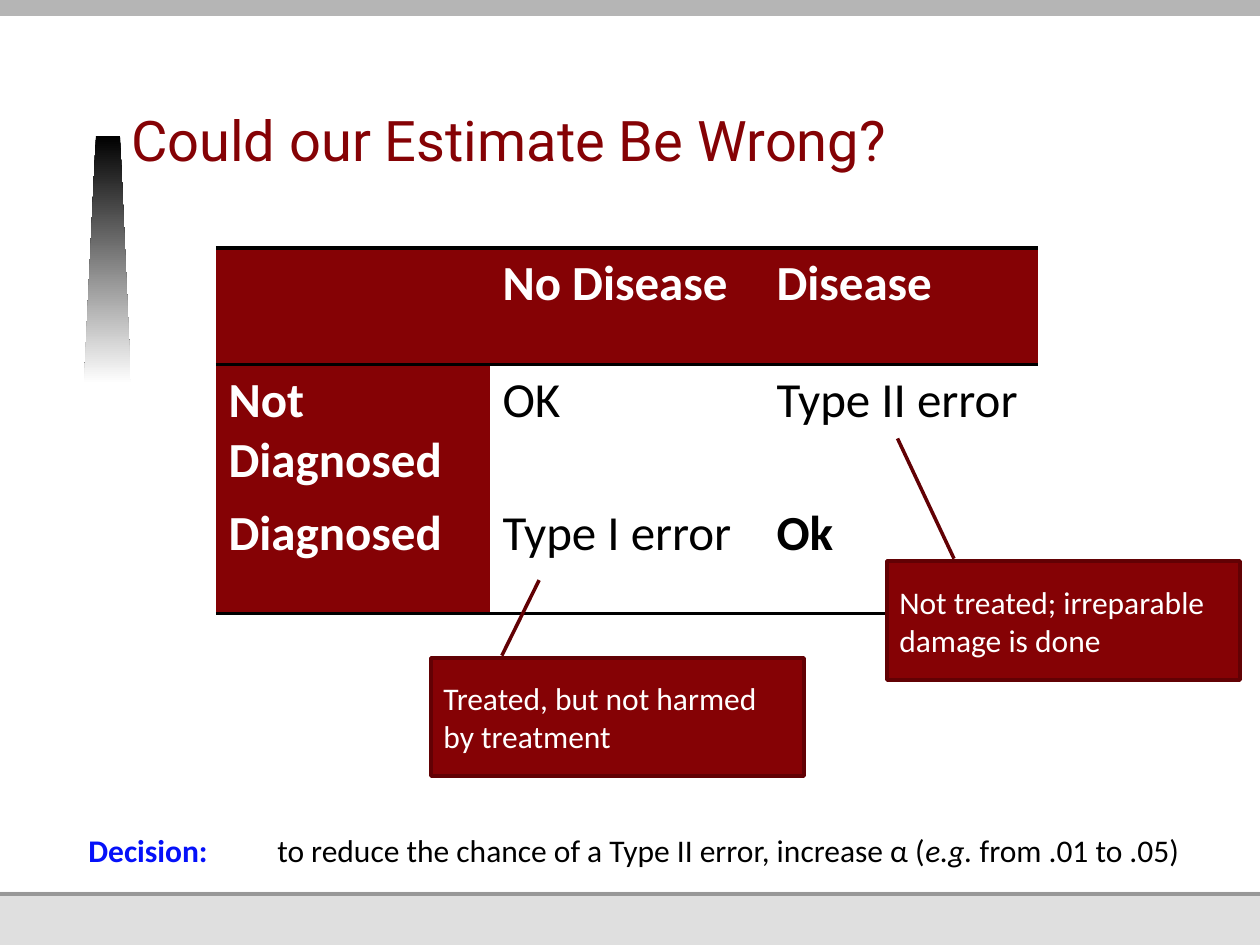
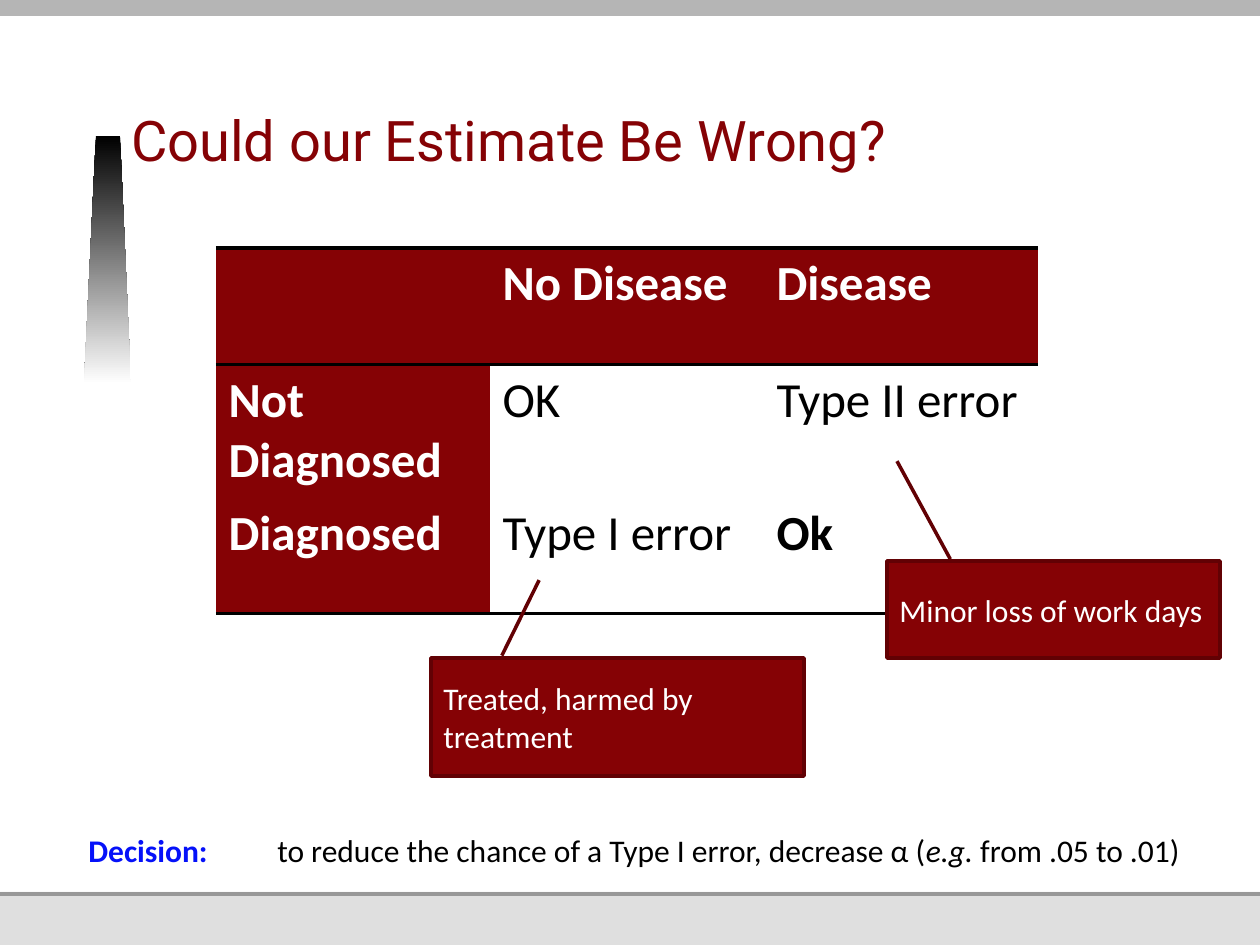
import dataclasses

import lxml.etree
import pptx
import pptx.dml.color
import pptx.enum.shapes
import pptx.enum.text
import pptx.oxml.ns
import pptx.util

ALIGN = pptx.enum.text.PP_ALIGN
ANCHOR = pptx.enum.text.MSO_ANCHOR
SHAPE = pptx.enum.shapes.MSO_SHAPE
qn = pptx.oxml.ns.qn


@dataclasses.dataclass(frozen=True)
class Theme:
    maroon: str = "850205"
    dark_maroon: str = "620104"
    blue: str = "0511F9"
    black: str = "000000"
    white: str = "FFFFFF"
    top_bar: str = "B5B5B5"
    footer: str = "DFDFDF"
    footer_rule: str = "989898"
    title_font: str = "Roboto"
    body_font: str = "Calibri"
    title_size: int = 32
    title_leading: int = 34
    table_size: int = 28
    note_size: int = 18
    line_width: int = 2


class Deck:
    """Draws styled elements on the current slide, with lengths in px."""

    scale = 914400 / 126
    width, height = 1260, 945

    def __init__(self, theme):
        self.theme = theme
        self.presentation = pptx.Presentation()
        self.presentation.slide_width = self.emu(self.width)
        self.presentation.slide_height = self.emu(self.height)
        self.slide = None

    def emu(self, px):
        return pptx.util.Emu(round(px * self.scale))

    def box(self, *px):
        return [self.emu(length) for length in px]

    def rgb(self, colour):
        return pptx.dml.color.RGBColor.from_string(colour)

    def paint(self, fill, colour):
        fill.solid()
        fill.fore_color.rgb = self.rgb(colour)

    def style(self, font, size, colour, name=None, bold=False, italic=False):
        font.name = name or self.theme.body_font
        font.size = pptx.util.Pt(size)
        font.color.rgb = self.rgb(colour)
        font.bold = bold
        font.italic = italic

    def band(self, top, height, colour):
        band = self.slide.shapes.add_shape(SHAPE.RECTANGLE, *self.box(0, top, self.width, height))
        band.shadow.inherit = False
        band.line.fill.background()
        self.paint(band.fill, colour)
        return band

    def wedge(self):
        outline = self.slide.shapes.build_freeform(84, 384, scale=self.scale)
        outline.add_line_segments([(96, 136), (120, 136), (131, 384)], close=True)
        wedge = outline.convert_to_shape()
        wedge.shadow.inherit = False
        wedge.line.fill.background()
        wedge.fill.gradient()
        wedge.fill.gradient_angle = 270
        for stop, colour in zip(wedge.fill.gradient_stops, (self.theme.black, self.theme.white)):
            stop.color.rgb = self.rgb(colour)
        return wedge

    def backdrop(self):
        theme = self.theme
        master = self.presentation.slide_master.shapes.element
        for part in (
            self.band(0, 16, theme.top_bar),
            self.band(892, 53, theme.footer),
            self.band(892, 4, theme.footer_rule),
            self.wedge(),
        ):
            master.append(part.element)

    def add_slide(self, heading):
        self.slide = self.presentation.slides.add_slide(self.presentation.slide_layouts[5])
        if len(self.presentation.slides) == 1:
            self.backdrop()
        title = self.slide.shapes.title
        title.left, title.top, title.width, title.height = self.box(131, 43, 866, 136)
        frame = title.text_frame
        frame.text = heading
        frame.auto_size = pptx.enum.text.MSO_AUTO_SIZE.NONE
        frame.vertical_anchor = ANCHOR.BOTTOM
        frame.margin_left = frame.margin_top = frame.margin_right = 0
        frame.margin_bottom = self.emu(6)
        paragraph = frame.paragraphs[0]
        paragraph.alignment = ALIGN.LEFT
        paragraph.line_spacing = pptx.util.Pt(self.theme.title_leading)
        self.style(paragraph.runs[0].font, self.theme.title_size, self.theme.maroon, self.theme.title_font)

    def borders(self, cell, ruled):
        properties = cell._tc.get_or_add_tcPr()
        for index, side in enumerate("LRTB"):
            line = lxml.etree.Element(qn(f"a:ln{side}"))
            if side in ruled:
                line.set("w", str(pptx.util.Pt(self.theme.line_width)))
                fill = lxml.etree.SubElement(line, qn("a:solidFill"))
                lxml.etree.SubElement(fill, qn("a:srgbClr"), val=self.theme.black)
            else:
                line.set("w", "0")
                lxml.etree.SubElement(line, qn("a:noFill"))
            properties.insert(index, line)

    def table(self, rows, left, top, column_width, row_heights, bold_cells):
        theme = self.theme
        columns = len(rows[0])
        frame = self.slide.shapes.add_table(
            len(rows), columns, *self.box(left, top, columns * column_width, sum(row_heights))
        )
        table = frame.table
        table.first_row = table.horz_banding = False
        for column in table.columns:
            column.width = self.emu(column_width)
        ruled = {0: "TB", 1: "T", len(rows) - 1: "B"}
        for r, texts in enumerate(rows):
            table.rows[r].height = self.emu(row_heights[r])
            for c, text in enumerate(texts):
                cell = table.cell(r, c)
                header = r == 0 or c == 0
                cell.text_frame.text = text
                self.paint(cell.fill, theme.maroon if header else theme.white)
                self.borders(cell, ruled[r])
                self.style(
                    cell.text_frame.paragraphs[0].font,
                    theme.table_size,
                    theme.white if header else theme.black,
                    bold=header or (r, c) in bold_cells,
                )

    def callout(self, text, bounds, pointer):
        callout = self.slide.shapes.add_shape(SHAPE.LINE_CALLOUT_1, *self.box(*bounds))
        callout.shadow.inherit = False
        for index, value in enumerate((-0.02, 0.19, *pointer)):
            callout.adjustments[index] = value
        self.paint(callout.fill, self.theme.maroon)
        self.paint(callout.line.fill, self.theme.dark_maroon)
        callout.line.width = pptx.util.Pt(self.theme.line_width)
        frame = callout.text_frame
        frame.text = text
        frame.word_wrap = True
        frame.vertical_anchor = ANCHOR.MIDDLE
        frame.paragraphs[0].alignment = ALIGN.LEFT
        self.style(frame.paragraphs[0].runs[0].font, self.theme.note_size, self.theme.white)

    def decision(self, action, levels):
        theme = self.theme
        frame = self.slide.shapes.add_textbox(*self.box(76, 825, 1184, 50)).text_frame
        frame.word_wrap = True
        paragraph = frame.paragraphs[0]
        tabs = lxml.etree.SubElement(paragraph._p.get_or_add_pPr(), qn("a:tabLst"))
        lxml.etree.SubElement(tabs, qn("a:tab"), pos=str(self.emu(189)), algn="l")
        for text, colour, bold, italic in (
            ("Decision:", theme.blue, True, False),
            (f"\t{action} α (", theme.black, False, False),
            ("e.g. ", theme.black, False, True),
            (f"{levels})", theme.black, False, False),
        ):
            run = paragraph.add_run()
            run.text = text
            self.style(run.font, theme.note_size, colour, bold=bold, italic=italic)


OUTCOMES = [
    ["", "No Disease", "Disease"],
    ["Not Diagnosed", "OK", "Type II error"],
    ["Diagnosed", "Type I error", "Ok"],
]

CASES = [
    {
        "type_1_cost": "Treated, but not harmed by treatment",
        "type_2_cost": "Not treated; irreparable damage is done",
        "type_2_size": (353, 119),
        "action": "to reduce the chance of a Type II error, increase",
        "levels": "from .01 to .05",
    },
    {
        "type_1_cost": "Treated, harmed by treatment",
        "type_2_cost": "Minor loss of work days",
        "type_2_size": (333, 97),
        "action": "to reduce the chance of a Type I error, decrease",
        "levels": "from .05 to .01",
    },
]


def main():
    deck = Deck(Theme())
    for case in CASES:
        deck.add_slide("Could our Estimate Be Wrong?")
        deck.table(OUTCOMES, 216, 248, 274, (117, 132, 116), bold_cells={(2, 2)})
        deck.callout(case["type_1_cost"], (431, 658, 373, 118), (-0.66, 0.29))
        deck.callout(case["type_2_cost"], (887, 561, *case["type_2_size"]), (-1.03, 0.03))
        deck.decision(case["action"], case["levels"])
    deck.presentation.save("out.pptx")


if __name__ == "__main__":
    main()
